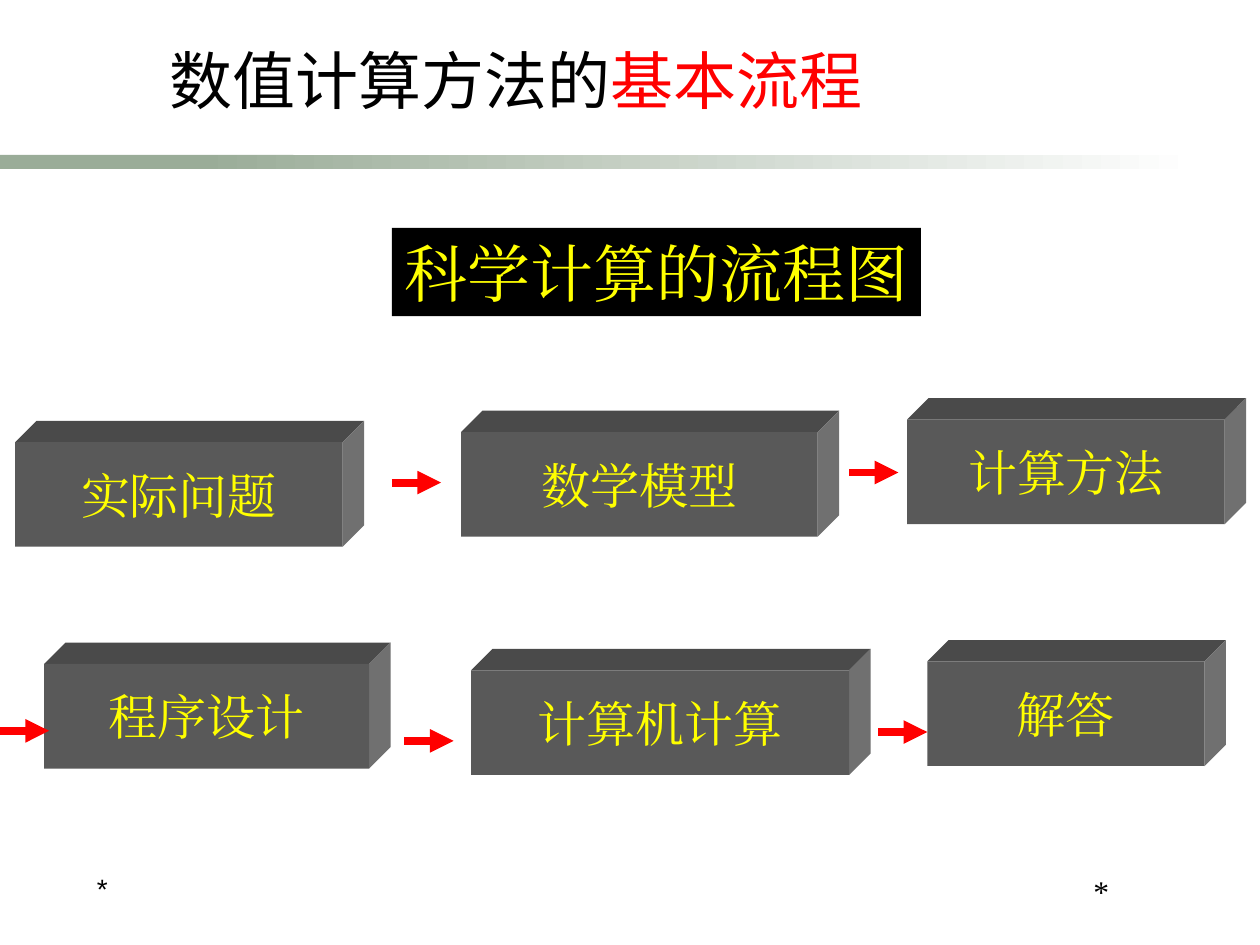
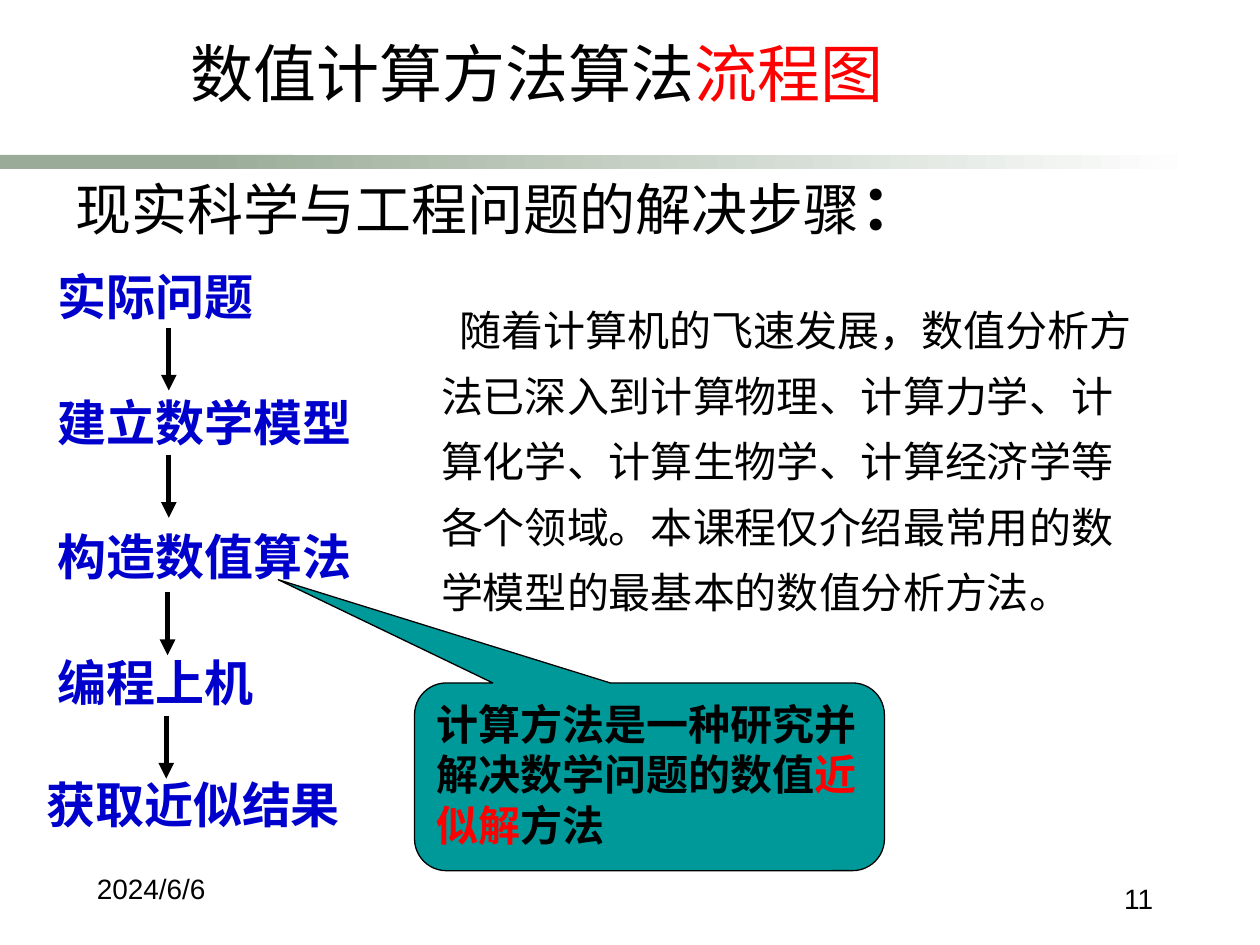
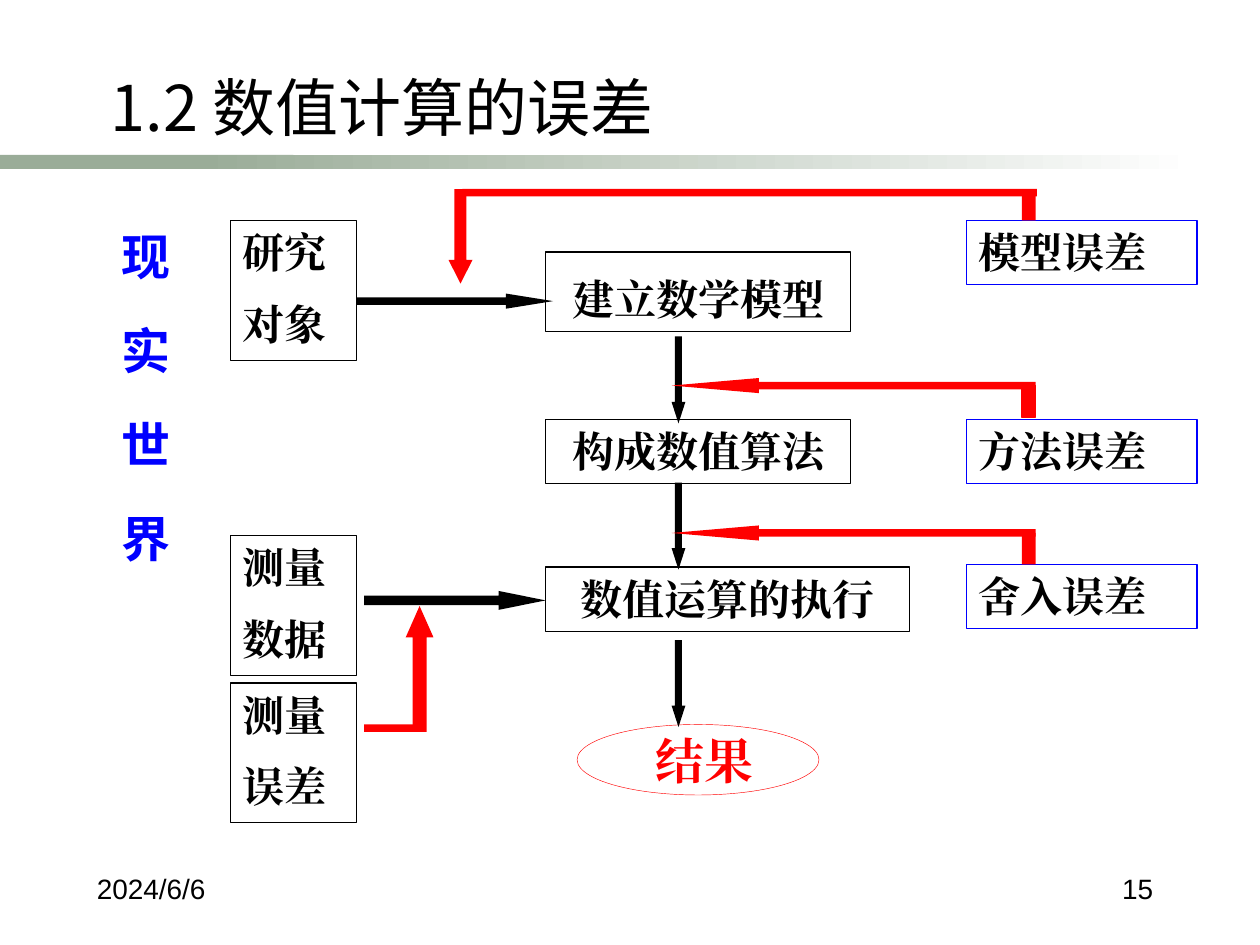
from lxml import etree
from pptx import Presentation
from pptx.dml.color import RGBColor
from pptx.enum import shapes, text
from pptx.oxml import ns
from pptx.util import Inches, Pt

COLORS = {
    "black": "000000", "red": "FF0000", "yellow": "FFFF00", "white": "FFFFFF",
    "blue": "0000FF", "navy": "0000CC", "teal": "009999", "sage": "9AAC98",
    "front": "595959", "top": "4A4A4A", "side": "707070",
}
SERIF, SANS, BOLD_SANS, FOOTER = "Times New Roman", "Noto Sans CJK SC", "Roboto", "Arial"
LEFT, CENTER, RIGHT = text.PP_ALIGN.LEFT, text.PP_ALIGN.CENTER, text.PP_ALIGN.RIGHT
TOP, MIDDLE = text.MSO_ANCHOR.TOP, text.MSO_ANCHOR.MIDDLE
KIND = shapes.MSO_SHAPE
TITLE_AND_BODY, TITLE_ONLY = 1, 5
DEPTH = 0.17


def rgb(name):
    return RGBColor.from_string(COLORS[name])


class Deck:
    def __init__(self):
        self.prs = Presentation()
        self.prs.slide_width, self.prs.slide_height = Inches(10), Inches(7.5)
        self.s = None

    def new_slide(self, title, at, layout=TITLE_ONLY, align=LEFT):
        self.s = self.prs.slides.add_slide(self.prs.slide_layouts[layout])
        self.shape(KIND.RECTANGLE, (0, 1.23, 2.33, 0.11), "sage")
        band = self.shape(KIND.RECTANGLE, (1.58, 1.23, 7.92, 0.11), "sage")
        band.fill.gradient()
        band.fill.gradient_angle = 0
        for stop, color, position in zip(band.fill.gradient_stops, ("sage", "white"), (0, 1)):
            stop.color.rgb, stop.position = rgb(color), position
        self.place(self.s.shapes.title, at)
        self.set_text(self.s.shapes.title, [title], 36, SANS, align=align)

    def place(self, sp, at):
        sp.left, sp.top, sp.width, sp.height = map(Inches, at)

    def set_text(self, sp, paragraphs, size, font, color="black", bold=False, align=LEFT,
                 anchor=TOP, before=0, spacing=1.0, wrap=True):
        """Fill sp; a paragraph is a string or a list of (text, font settings) runs."""
        tf = sp.text_frame
        tf.auto_size, tf.word_wrap, tf.vertical_anchor = text.MSO_AUTO_SIZE.NONE, wrap, anchor
        for i, content in enumerate(paragraphs):
            p = tf.add_paragraph() if i else tf.paragraphs[0]
            p.alignment, p.line_spacing = align, spacing
            p.space_before = Pt(before if i else 0)
            p.font.size, p.font.name, p.font.bold = Pt(size), font, bold
            p.font.color.rgb = rgb(color)
            latin = p.font._element.find(ns.qn("a:latin")) if hasattr(p.font, "_element") \
                else p._p.pPr.find(ns.qn("a:defRPr")).find(ns.qn("a:latin"))
            latin.addnext(latin.makeelement(ns.qn("a:ea"), {"typeface": font}))
            for words, style in [(content, {})] if isinstance(content, str) else content:
                r = p.add_run()
                r.text = words
                if "color" in style:
                    r.font.color.rgb = rgb(style["color"])
                if "size" in style:
                    r.font.size, r.font.bold = Pt(style["size"]), True
        return sp

    def label(self, at, paragraphs, size, font, **style):
        return self.set_text(self.s.shapes.add_textbox(*map(Inches, at)),
                             paragraphs, size, font, **style)

    def body(self, at, words, size, indent, spacing):
        sp = self.s.placeholders[1]
        self.place(sp, at)
        self.set_text(sp, [words], size, SANS, spacing=spacing)
        pPr = sp.text_frame.paragraphs[0]._p.pPr
        pPr.set("marL", "0")
        pPr.set("indent", str(Inches(indent)))
        pPr.find(ns.qn("a:defRPr")).addprevious(pPr.makeelement(ns.qn("a:buNone"), {}))

    def paint(self, sp, fill, line=None, width=0.75):
        sp.shadow.inherit = False
        if fill:
            sp.fill.solid()
            sp.fill.fore_color.rgb = rgb(fill)
        else:
            sp.fill.background()
        if line:
            sp.line.color.rgb, sp.line.width = rgb(line), Pt(width)
        else:
            sp.line.fill.background()
        return sp

    def shape(self, kind, at, fill=None, line=None, adjust=(), width=0.75):
        sp = self.s.shapes.add_shape(kind, *map(Inches, at))
        for i, value in enumerate(adjust):
            sp.adjustments[i] = value
        return self.paint(sp, fill, line, width)

    def outline(self, points, fill):
        corners = [(Inches(x), Inches(y)) for x, y in points]
        builder = self.s.shapes.build_freeform(*corners[0])
        builder.add_line_segments(corners[1:], close=True)
        return self.paint(builder.convert_to_shape(), fill)

    def block(self, at, words):
        """Draw a solid block: front face with text, top and right faces behind it."""
        x, y, w, h = at
        right, bottom = x + w, y + h
        self.outline([(x, y), (x + DEPTH, y - DEPTH), (right + DEPTH, y - DEPTH), (right, y)], "top")
        self.outline([(right, y), (right + DEPTH, y - DEPTH),
                      (right + DEPTH, bottom - DEPTH), (right, bottom)], "side")
        self.set_text(self.shape(KIND.RECTANGLE, at, "front"), [words], 28, SERIF, "yellow",
                      align=CENTER, anchor=MIDDLE)

    def arrow(self, start, end, color, width):
        c = self.s.shapes.add_connector(shapes.MSO_CONNECTOR.STRAIGHT,
                                        *map(Inches, (*start, *end)))
        c.line.color.rgb, c.line.width = rgb(color), Pt(width)
        etree.SubElement(c.line._get_or_add_ln(), ns.qn("a:tailEnd"), type="triangle")
        etree.SubElement(c._element.spPr, ns.qn("a:effectLst"))

    def box(self, at, paragraphs, line="black", **style):
        self.set_text(self.shape(KIND.RECTANGLE, at, line=line), paragraphs, 24, SERIF,
                      bold=True, before=12, **style)

    def footer(self, date, number, top=6.87, size=16, font=FOOTER, align=RIGHT):
        self.label((0.67, 6.87, 1.41, 0.5), [date], 16, FOOTER)
        self.label((8.23, top, 1.02, 0.5), [number], size, font, align=align)


def process_slide(deck):
    deck.new_slide([("数值计算方法的", {}), ("基本流程", {"color": "red"})],
                   (0.27, 0.28, 7.65, 0.71), align=CENTER)
    heading = deck.shape(KIND.RECTANGLE, (3.11, 1.81, 4.2, 0.7), "black")
    deck.set_text(heading, ["科学计算的流程图"], 36, SERIF, "yellow", align=CENTER, wrap=False)
    for x, y, w, words in [
        (0.12, 3.51, 2.6, "实际问题"), (3.66, 3.43, 2.83, "数学模型"),
        (7.2, 3.33, 2.52, "计算方法"), (0.35, 5.27, 2.58, "程序设计"),
        (3.74, 5.32, 3, "计算机计算"), (7.36, 5.25, 2.2, "解答"),
    ]:
        deck.block((x, y, w, 0.83), words)
    for x, y in [(3.11, 3.83), (6.74, 3.75), (0, 5.8), (3.21, 5.88), (6.97, 5.81)]:
        deck.arrow((x, y), (x + 0.39, y), "red", 4.5)
    deck.footer("*", "*", size=18, font=SERIF, align=CENTER)


def algorithm_slide(deck):
    deck.new_slide([("数值计算方法算法", {}), ("流程图", {"color": "red"})],
                   (1.41, 0.22, 8.08, 0.7), layout=TITLE_AND_BODY)
    deck.label((0.5, 1.28, 7.33, 0.71),
               [[("现实科学与工程问题的解决步骤", {}), ("：", {"size": 36})]], 32, SANS)
    for x, y, words in [(0.36, 2.07, "实际问题"), (0.36, 3.07, "建立数学模型"),
                        (0.36, 4.13, "构造数值算法"), (0.36, 5.13, "编程上机"),
                        (0.27, 6.1, "获取近似结果")]:
        deck.label((x, y, 3, 0.57), [words], 28, BOLD_SANS, color="navy", bold=True)
    for x, y in [(1.34, 2.6), (1.34, 3.61), (1.33, 4.7), (1.32, 5.68)]:
        deck.arrow((x, y), (x, y + 0.5), "black", 3)
    callout = deck.shape(KIND.ROUNDED_RECTANGULAR_CALLOUT, (3.29, 5.42, 3.73, 1.49),
                         "teal", "black", (-0.79, -1.05, 0.17))
    deck.set_text(callout, [[("计算方法是一种研究并解决数学问题的数值", {}),
                             ("近似解", {"color": "red"}), ("方法", {})]],
                  24, BOLD_SANS, bold=True)
    deck.body((3.4, 2.25, 5.83, 3.33),
              "随着计算机的飞速发展，数值分析方法已深入到计算物理、计算力学、计算化学、"
              "计算生物学、计算经济学等各个领域。本课程仅介绍最常用的数学模型的最基本的"
              "数值分析方法。", 24, indent=0.15, spacing=1.3)
    deck.footer("2024/6/6", "11", top=6.95)


def error_slide(deck):
    deck.new_slide("1.2 数值计算的误差", (0.78, 0.49, 7.94, 0.71))
    deck.label((0.82, 1.75, 0.67, 4.25), list("现实世界"), 28, SANS, color="blue",
               bold=True, align=CENTER, before=20)
    for y, lines in [(1.75, ["研究", "对象"]), (4.25, ["测量", "数据"]), (5.42, ["测量", "误差"])]:
        deck.box((1.83, y, 1, 1.11), lines)
    for y, w, h, words, spacing in [(2, 2.42, 0.63, "建立数学模型", 1.3),
                                    (3.33, 2.42, 0.51, "构成数值算法", 1.0),
                                    (4.5, 2.89, 0.51, "数值运算的执行", 1.0)]:
        deck.box((4.33, y, w, h), [words], align=CENTER, spacing=spacing)
    for y, words in [(1.75, "模型误差"), (3.33, "方法误差"), (4.48, "舍入误差")]:
        deck.box((7.67, y, 1.83, 0.51), [words], line="blue")
    result = deck.shape(KIND.OVAL, (4.58, 5.75, 1.92, 0.56), line="red", width=0.25)
    deck.set_text(result, [" 结果"], 28, SERIF, "red", bold=True, align=CENTER, anchor=MIDDLE)

    for y in (2.67, 3.83, 5.08):
        deck.shape(KIND.DOWN_ARROW, (5.33, y, 0.11, 0.69), "black", adjust=(0.5, 1.55))
    for at, head in [((2.89, 4.69, 1.44, 0.15), 2.48), ((2.83, 2.33, 1.56, 0.12), 3.11)]:
        deck.shape(KIND.RIGHT_ARROW, at, "black", adjust=(0.5, head))

    for y, edge in [(1.5, None), (3.06, "red"), (4.23, None)]:
        deck.shape(KIND.RECTANGLE, (8.11, y, 0.11, 0.25), "red", edge)
    for y in (3, 4.17):
        deck.shape(KIND.LEFT_ARROW, (5.33, y, 2.89, 0.12), "red", adjust=(0.5, 5.78))
    for at in [(3.67, 1.5, 4.56, 0.06), (2.89, 5.75, 0.44, 0.06)]:
        deck.shape(KIND.RECTANGLE, at, "red")
    deck.shape(KIND.DOWN_ARROW, (3.56, 1.5, 0.19, 0.75), "red", adjust=(0.5, 0.98))
    deck.shape(KIND.UP_ARROW, (3.22, 4.81, 0.22, 1), "red", adjust=(0.5, 1.13))
    deck.footer("2024/6/6", "15")


def main():
    deck = Deck()
    for build in (process_slide, algorithm_slide, error_slide):
        build(deck)
    deck.prs.save("out.pptx")


if __name__ == "__main__":
    main()
